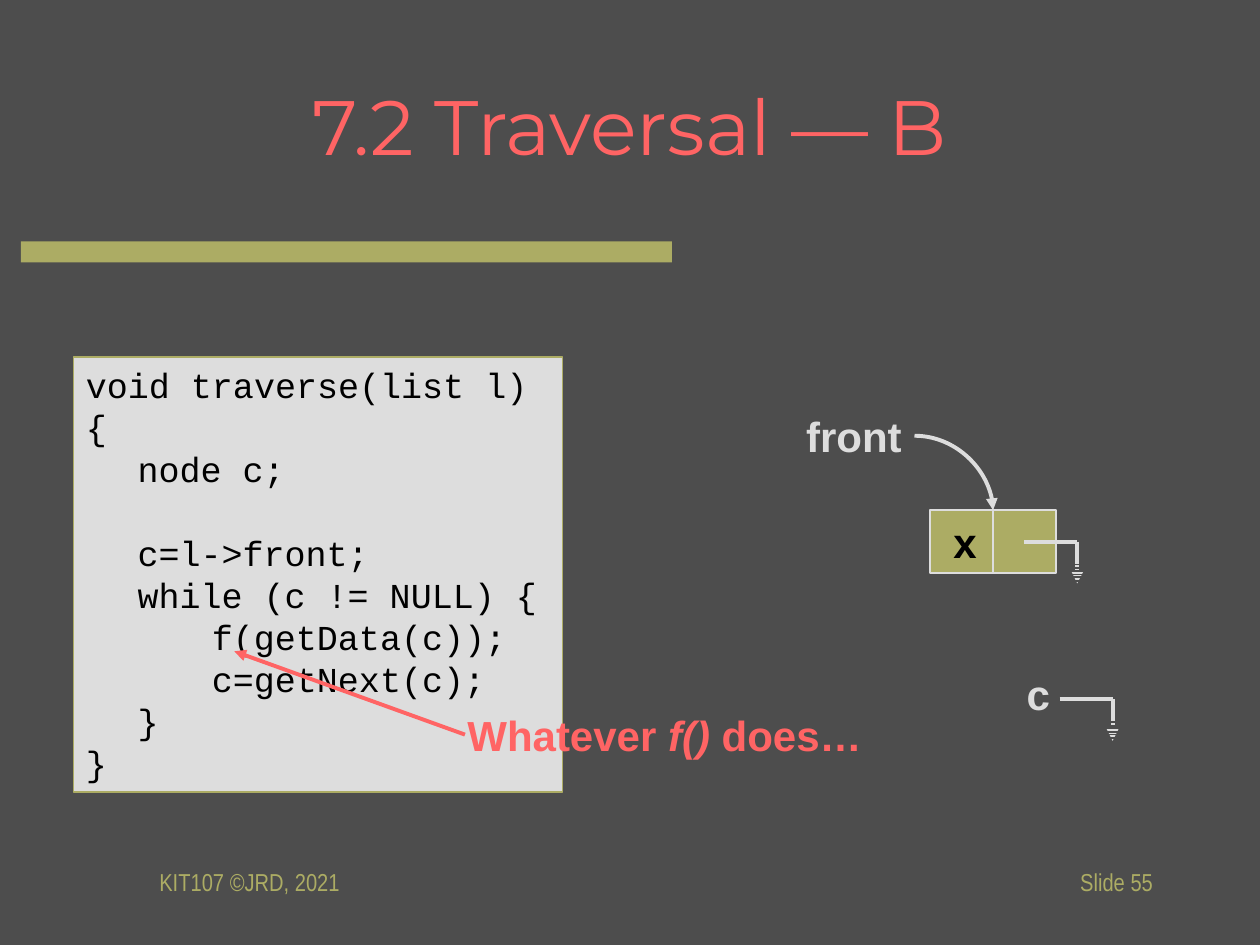
from dataclasses import dataclass

from lxml.etree import SubElement
from pptx import Presentation
from pptx.dml.color import RGBColor
from pptx.enum.shapes import MSO_CONNECTOR as Link, MSO_SHAPE as Preset
from pptx.enum.text import MSO_ANCHOR as Anchor, MSO_AUTO_SIZE as AutoSize, PP_ALIGN as Align
from pptx.oxml.ns import qn
from pptx.util import Pt

COLORS = {
    "back": "4D4D4D",
    "olive": "ACAC64",
    "coral": "FF6464",
    "pale": "DDDDDD",
    "ink": "000000",
}

CODE = [
    "void traverse(list l)",
    "{",
    "\tnode c;",
    "",
    "\tc=l->front;",
    "\twhile (c != NULL) {",
    "\t\tf(getData(c));",
    "\t\tc=getNext(c);",
    "\t}",
    "}",
]
CODE_TABS = (29.5, 72)


@dataclass
class Label:
    text: str
    left: float
    top: float
    width: float
    color: str


@dataclass
class Ground:
    """A wire that runs right, then down into an earth symbol."""
    left: float
    top: float
    run: float = 30.24
    drop: float = 23.76


def color(name: str) -> RGBColor:
    return RGBColor.from_string(COLORS[name])


def write(para, text: str, *, size: float, font: str, fill: str,
          bold: bool = False, italic: bool = False) -> None:
    if not text:
        SubElement(para._p, qn("a:endParaRPr"), sz=str(int(size * 100)))
        return
    span = para.add_run()
    span.text = text
    span.font.size, span.font.name = Pt(size), font
    span.font.bold, span.font.italic = bold, italic
    span.font.color.rgb = color(fill)


def add_box(page, left: float, top: float, width: float, height: float, *,
            anchor=Anchor.TOP, grow: bool = True):
    box = page.shapes.add_textbox(Pt(left), Pt(top), Pt(width), Pt(height))
    frame = box.text_frame
    frame.word_wrap = False
    frame.vertical_anchor = anchor
    frame.auto_size = AutoSize.SHAPE_TO_FIT_TEXT if grow else AutoSize.NONE
    return box


def add_label(page, label: Label):
    box = add_box(page, label.left, label.top, label.width, 36)
    write(box.text_frame.paragraphs[0], label.text, size=24, font="Arial",
          fill=label.color, bold=True)
    return box


def add_rect(page, left: float, top: float, width: float, height: float, *,
             fill: str, line: str = ""):
    rect = page.shapes.add_shape(Preset.RECTANGLE, Pt(left), Pt(top), Pt(width), Pt(height))
    rect.shadow.inherit = False
    rect.fill.solid()
    rect.fill.fore_color.rgb = color(fill)
    if line:
        rect.line.color.rgb = color(line)
        rect.line.width = Pt(1)
    else:
        rect.line.fill.background()
    return rect


def add_line(page, x1: float, y1: float, x2: float, y2: float, *, stroke: str = "pale",
             width: float = 2.25, arrow: bool = False, kind=Link.STRAIGHT):
    line = page.shapes.add_connector(kind, Pt(x1), Pt(y1), Pt(x2), Pt(y2))
    line.line.color.rgb = color(stroke)
    line.line.width = Pt(width)
    properties = line.element.spPr
    if arrow:
        SubElement(properties.find(qn("a:ln")), qn("a:tailEnd"), type="triangle")
    SubElement(properties, qn("a:effectLst"))
    return line


def add_ground(page, ground: Ground) -> None:
    x, y = ground.left + ground.run, ground.top
    add_line(page, ground.left, y, x, y)
    add_line(page, x, y, x, y + ground.drop, arrow=True)
    # Background-coloured stripes cut the arrowhead into an earth symbol
    for shift_x, shift_y in ((0, 0), (0.72, 3.6)):
        for offset in (12.96, 16.56, 18.72, 15.12):
            left, level = x - 8.64 + shift_x, y + offset + shift_y
            add_line(page, left, level, left + 18, level, stroke="back", width=1)


def add_footer(page, text: str, left: float, align) -> None:
    box = add_box(page, left, 486, 150, 36, anchor=Anchor.MIDDLE, grow=False)
    para = box.text_frame.paragraphs[0]
    para.alignment = align
    write(para, text, size=14, font="Arial Narrow", fill="olive")


def add_code(page) -> None:
    box = add_rect(page, 42, 204, 279.5, 248.5, fill="pale", line="olive")
    frame = box.text_frame
    frame.word_wrap = False
    frame.vertical_anchor = Anchor.TOP
    frame.auto_size = AutoSize.SHAPE_TO_FIT_TEXT
    for index, text in enumerate(CODE):
        para = frame.add_paragraph() if index else frame.paragraphs[0]
        para.alignment = Align.LEFT
        tabs = SubElement(para._p.get_or_add_pPr(), qn("a:tabLst"))
        for stop in CODE_TABS:
            SubElement(tabs, qn("a:tab"), pos=str(Pt(stop)), algn="l")
        write(para, text, size=20, font="Courier New", fill="ink")


def add_list_diagram(page) -> None:
    # Node with its data and link halves
    node = add_rect(page, 531.5, 291.5, 72, 36, fill="olive", line="pale")
    divider = add_line(page, 567.5, 291.5, 567.5, 327.5, width=1)
    divider.begin_connect(node, 0)
    divider.end_connect(node, 2)

    # Pointer from front to the node
    front = add_label(page, Label("front", 453.6, 231, 69, "pale"))
    pointer = add_line(page, 522.6, 249, 567.5, 291.5, arrow=True, kind=Link.CURVE)
    pointer.element.spPr.find(qn("a:prstGeom")).set("prst", "curvedConnector2")
    pointer.begin_connect(front, 3)
    pointer.end_connect(node, 0)

    # Null links
    add_ground(page, Ground(585.36, 309.6))
    add_ground(page, Ground(605.52, 399.6))
    add_label(page, Label("c", 579.6, 378.7, 28, "pale"))
    add_label(page, Label("x", 537.8, 291.6, 28, "ink"))


def add_callout(page) -> None:
    box = add_box(page, 260, 401.8, 242, 36.5)
    para = box.text_frame.paragraphs[0]
    for text, italic in (("Whatever ", False), ("f()", True), (" does…", False)):
        write(para, text, size=24, font="Arial", fill="coral", bold=True, italic=italic)
    add_line(page, 265.7, 419.8, 133.9, 372.2, stroke="coral", arrow=True)


def main() -> None:
    deck = Presentation()
    deck.slide_width, deck.slide_height = Pt(720), Pt(540)
    page = deck.slides.add_slide(deck.slide_layouts[5])
    page.background.fill.solid()
    page.background.fill.fore_color.rgb = color("back")

    # Title and accent bar
    add_rect(page, 12, 138, 372, 12, fill="olive")
    title = page.shapes.title
    title.left, title.top, title.width, title.height = Pt(54), Pt(26), Pt(612), Pt(90)
    title.text_frame.vertical_anchor = Anchor.MIDDLE
    heading = title.text_frame.paragraphs[0]
    heading.alignment = Align.CENTER
    write(heading, "7.2 Traversal — B", size=44, font="Montserrat", fill="coral")

    add_code(page)
    add_list_diagram(page)
    add_callout(page)

    # Footer
    add_footer(page, "KIT107 ©JRD, 2021", 84, Align.LEFT)
    add_footer(page, "Slide 55", 516, Align.RIGHT)
    deck.save("out.pptx")


if __name__ == "__main__":
    main()
